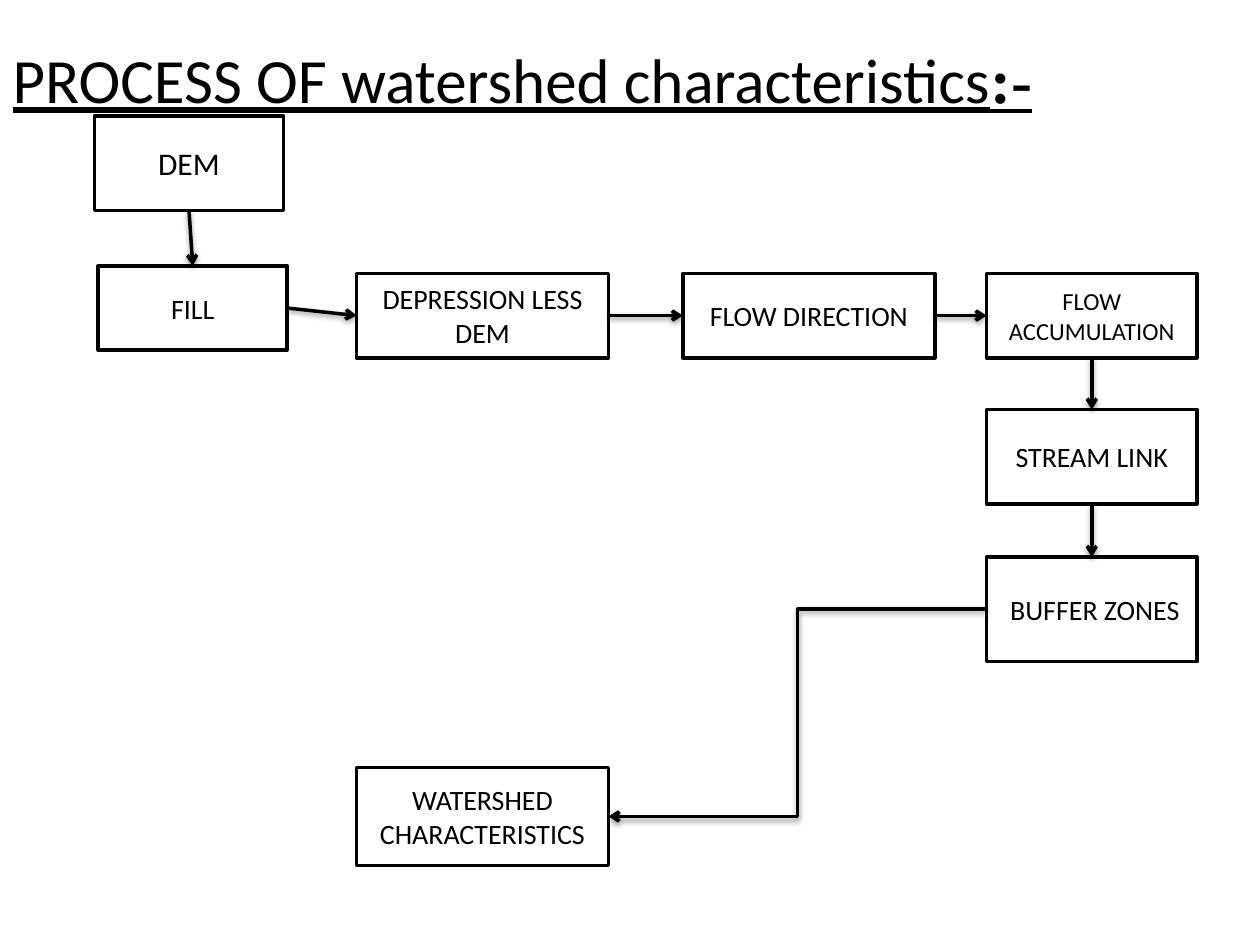
from dataclasses import dataclass

from lxml import etree
from pptx import Presentation
from pptx.dml.color import RGBColor
from pptx.enum.shapes import MSO_CONNECTOR, MSO_SHAPE
from pptx.enum.text import MSO_ANCHOR, MSO_AUTO_SIZE, PP_ALIGN
from pptx.oxml.ns import qn
from pptx.util import Inches, Pt

RECTANGLE = MSO_SHAPE.RECTANGLE
STRAIGHT, ELBOW = MSO_CONNECTOR.STRAIGHT, MSO_CONNECTOR.ELBOW
LEFT, CENTER = PP_ALIGN.LEFT, PP_ALIGN.CENTER
MIDDLE = MSO_ANCHOR.MIDDLE
NO_AUTOFIT = MSO_AUTO_SIZE.NONE
TITLE_ONLY = 5
SIDE_TOP, SIDE_LEFT, SIDE_BOTTOM, SIDE_RIGHT = range(4)

BLACK, WHITE = "000000", "FFFFFF"
LINE_WIDTH = Pt(2)


@dataclass
class Step:
    text: str
    left: float
    top: float
    width: float
    height: float
    size: int = 16


@dataclass
class Flow:
    start: str
    start_side: int
    end: str
    end_side: int
    kind: int = STRAIGHT


STEPS = {
    "dem": Step("DEM", 0.75, 0.92, 1.5, 0.75, 18),
    "fill": Step("FILL", 0.78, 2.11, 1.5, 0.67),
    "depressionless": Step("DEPRESSION LESS DEM", 2.83, 2.17, 2, 0.67),
    "watershed": Step("WATERSHED CHARACTERISTICS", 2.83, 6.09, 2, 0.78),
    "direction": Step("FLOW DIRECTION", 5.42, 2.17, 2, 0.67),
    "accumulation": Step("FLOW ACCUMULATION", 7.83, 2.17, 1.67, 0.67, 14),
    "stream": Step("STREAM LINK", 7.83, 3.25, 1.67, 0.75),
    "buffer": Step(" BUFFER ZONES", 7.83, 4.42, 1.67, 0.83),
}

FLOWS = [
    Flow("dem", SIDE_BOTTOM, "fill", SIDE_TOP),
    Flow("fill", SIDE_RIGHT, "depressionless", SIDE_LEFT),
    Flow("depressionless", SIDE_RIGHT, "direction", SIDE_LEFT),
    Flow("direction", SIDE_RIGHT, "accumulation", SIDE_LEFT),
    Flow("accumulation", SIDE_BOTTOM, "stream", SIDE_TOP),
    Flow("stream", SIDE_BOTTOM, "buffer", SIDE_TOP),
    Flow("buffer", SIDE_LEFT, "watershed", SIDE_RIGHT, ELBOW),
]


def color(value: str) -> RGBColor:
    return RGBColor.from_string(value)


def add_text(paragraph, text: str, *, size: int, font="Calibri", align=CENTER,
             bold=False, underline=False) -> None:
    paragraph.alignment = align
    run = paragraph.add_run()
    run.text = text
    run.font.name = font
    run.font.size = Pt(size)
    run.font.bold = bold
    run.font.underline = underline
    run.font.color.rgb = color(BLACK)


def set_line(line) -> None:
    line.color.rgb = color(BLACK)
    line.width = LINE_WIDTH


def add_step(slide, step: Step):
    shape = slide.shapes.add_shape(
        RECTANGLE, Inches(step.left), Inches(step.top),
        Inches(step.width), Inches(step.height))
    shape.shadow.inherit = False
    shape.fill.solid()
    shape.fill.fore_color.rgb = color(WHITE)
    set_line(shape.line)
    frame = shape.text_frame
    frame.word_wrap = True
    frame.vertical_anchor = MIDDLE
    add_text(frame.paragraphs[0], step.text, size=step.size)
    return shape


def add_shadow(connector) -> None:
    effects = etree.SubElement(connector._element.spPr, qn("a:effectLst"))
    shadow = etree.SubElement(
        effects, qn("a:outerShdw"), blurRad=str(Pt(3.1)), dist=str(Pt(1.6)),
        dir="5400000", rotWithShape="0")
    shade = etree.SubElement(shadow, qn("a:srgbClr"), val=BLACK)
    etree.SubElement(shade, qn("a:alpha"), val="38000")


def add_flow(slide, flow: Flow, boxes: dict) -> None:
    connector = slide.shapes.add_connector(flow.kind, 0, 0, 0, 0)
    connector.begin_connect(boxes[flow.start], flow.start_side)
    connector.end_connect(boxes[flow.end], flow.end_side)
    set_line(connector.line)
    etree.SubElement(connector.line._get_or_add_ln(), qn("a:tailEnd"), type="arrow")
    add_shadow(connector)


def add_title(slide) -> None:
    title = slide.shapes.title
    title.left, title.top = Inches(0), Inches(0)
    title.width, title.height = Inches(9), Inches(1.25)
    frame = title.text_frame
    frame.auto_size = NO_AUTOFIT
    frame.vertical_anchor = MIDDLE
    paragraph = frame.paragraphs[0]
    add_text(paragraph, "PROCESS OF watershed characteristics", size=36,
             align=LEFT, underline=True)
    add_text(paragraph, ":-", size=36, font="Times New Roman", align=LEFT,
             bold=True, underline=True)


def main() -> None:
    presentation = Presentation()
    presentation.slide_width, presentation.slide_height = Inches(10), Inches(7.5)
    slide = presentation.slides.add_slide(presentation.slide_layouts[TITLE_ONLY])

    # Title
    add_title(slide)

    # Process boxes, then the arrows joining them
    boxes = {name: add_step(slide, step) for name, step in STEPS.items()}
    for flow in FLOWS:
        add_flow(slide, flow, boxes)

    presentation.save("out.pptx")


if __name__ == "__main__":
    main()
